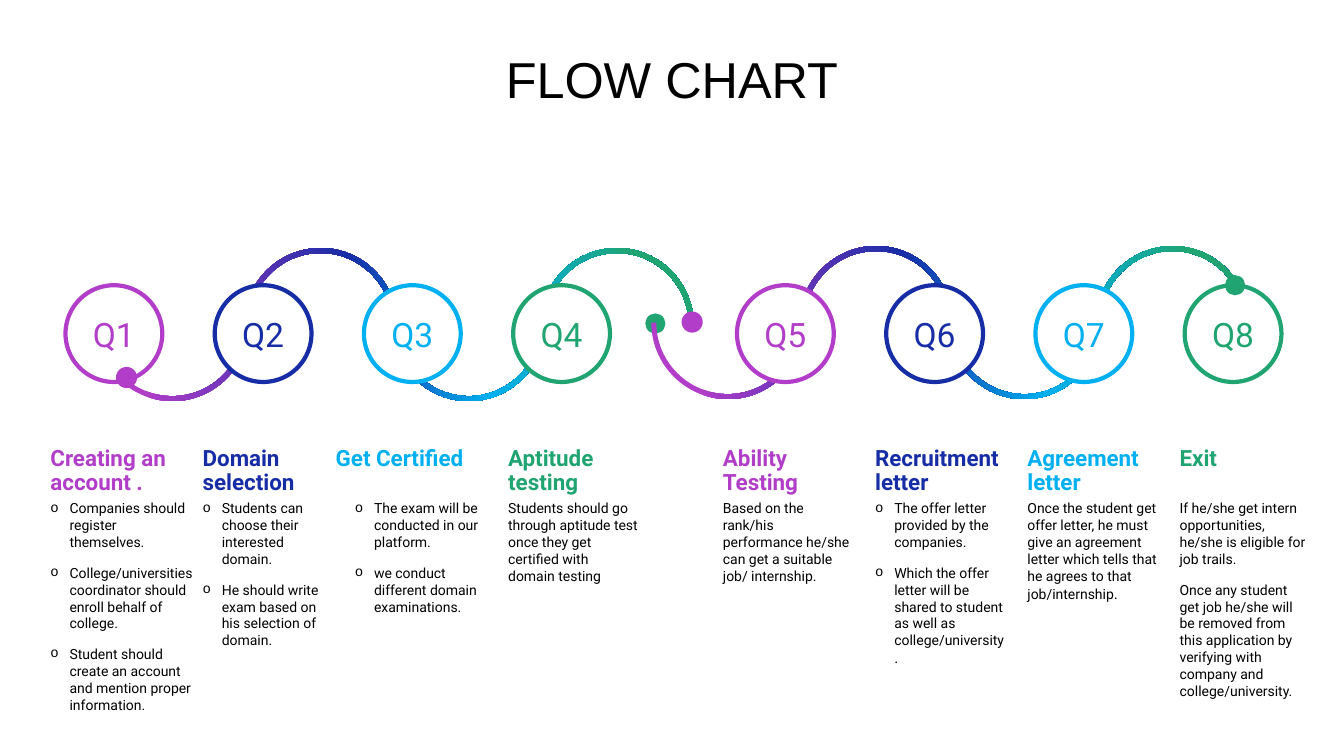
"""Build a flow chart slide of eight numbered steps joined by two wavy ribbons."""
from dataclasses import dataclass

from pptx import Presentation
from pptx.dml.color import RGBColor
from pptx.enum.shapes import MSO_SHAPE
from pptx.enum.text import MSO_ANCHOR, MSO_AUTO_SIZE, PP_ALIGN
from pptx.oxml import parse_xml
from pptx.oxml.ns import nsdecls, qn
from pptx.util import Inches, Pt

ELLIPSE = MSO_SHAPE.OVAL
TOP, MIDDLE = MSO_ANCHOR.TOP, MSO_ANCHOR.MIDDLE
LEFT, CENTER = PP_ALIGN.LEFT, PP_ALIGN.CENTER
NO_FIT = MSO_AUTO_SIZE.NONE
COMPARISON_LAYOUT = 4


@dataclass(frozen=True)
class Theme:
    """Colours, fonts and type sizes of the slide."""
    purple: str = "B13DC8"
    navy: str = "172DA6"
    sky: str = "00B0F0"
    green: str = "20A472"
    black: str = "000000"
    white: str = "FFFFFF"
    title_font: str = "Arial"
    text_font: str = "Roboto"
    bullet_font: str = "Courier New"
    title_size: int = 36
    label_size: int = 24
    heading_size: int = 16
    body_size: int = 10
    tail_size: int = 11
    space_before: int = 10


THEME = Theme()
STEP_COLOURS = (THEME.purple, THEME.navy, THEME.sky, THEME.green)
GRADIENT = tuple(zip((8, 42, 66, 90), STEP_COLOURS))

CIRCLE_TOP, CIRCLE_SIZE, CIRCLE_PITCH = 2.83, 0.96, 1.48
OUTER_RADIUS, INNER_RADIUS, ARC_HANDLE = 0.76, 0.71, 0.55
ARC_PITCH = OUTER_RADIUS + INNER_RADIUS
HEADING_TOP, BODY_TOP = 4.39, 4.91
HEADING_HEIGHT = 0.33

Point = tuple[float, float]


@dataclass(frozen=True)
class Dot:
    """A ribbon end point."""
    left: float
    top: float
    colour: str
    size: float = 0.2


@dataclass(frozen=True)
class Wave:
    """A ribbon with its four circles and end dots."""
    left: float
    top: float
    first_circle: float
    dots: tuple[Dot, ...]


@dataclass(frozen=True)
class Step:
    """The heading and description under a circle."""
    heading: str
    left: float
    paragraphs: tuple[str, ...]
    bulleted: bool = False
    tail: str = ""
    body_left: float | None = None
    heading_width: float = 1.29
    body_width: float = 1.29
    body_height: float = 1.29


WAVES = (
    Wave(0.95, 2.46, 0.65, (Dot(1.15, 3.64, THEME.purple, 0.21), Dot(6.4, 3.11, THEME.green))),
    Wave(6.46, 2.44, 7.31, (Dot(6.76, 3.09, THEME.purple, 0.21), Dot(12.15, 2.73, THEME.green))),
)

STEPS = (
    Step("Creating an account .", 0.5, (
        "Companies should register themselves.",
        "College/universities coordinator should enroll behalf of college.",
        "Student should create an account and mention proper information.",
    ), bulleted=True, body_width=1.41, body_height=2.51),
    Step("Domain selection", 2.01, (
        "Students can choose their interested domain.",
        "He should write exam based on his selection of domain.",
    ), bulleted=True, heading_width=1.32, body_height=2.28),
    Step("Get Certified", 3.33, (
        "The exam will be conducted in our platform.",
        "we conduct different domain examinations.",
    ), bulleted=True, body_left=3.52, heading_width=1.48),
    Step("Aptitude testing", 5.04, (
        "Students should go through aptitude test once they get certified with domain testing",
    )),
    Step("Ability Testing", 7.17, (
        "Based on the rank/his performance he/she can get a suitable job/ internship.",
    )),
    Step("Recruitment letter", 8.68, (
        "The offer letter provided by the companies.",
        "Which the offer letter will be shared to student as well as college/university",
    ), bulleted=True, tail=".", heading_width=1.42),
    Step("Agreement letter", 10.19, (
        "Once the student get offer letter, he must give an agreement letter "
        "which tells that he agrees to that job/internship",
    ), tail=".", body_height=1.59),
    Step("Exit", 11.7, (
        "If he/she get intern opportunities, he/she is eligible for job trails.",
        "Once any student get job he/she will be removed from this application "
        "by verifying with company and college/university.",
    ), body_height=2.28),
)


def style_span(span, size: int, colour: str, font: str = THEME.text_font, bold: bool = False) -> None:
    """Format one run."""
    span.font.name, span.font.size, span.font.bold = font, Pt(size), bold
    span.font.color.rgb = RGBColor.from_string(colour)


def place(box, left: float, top: float, width: float, height: float) -> None:
    """Move and size a box."""
    box.left, box.top, box.width, box.height = map(Inches, (left, top, width, height))


def prepare_frame(box) -> None:
    """Give a text box the margins and wrapping of a step column."""
    frame = box.text_frame
    frame.word_wrap, frame.auto_size, frame.vertical_anchor = True, NO_FIT, TOP
    frame.margin_left = frame.margin_right = 0
    frame.margin_top = frame.margin_bottom = Inches(0.05)


def add_bullet(para) -> None:
    """Hang a round bullet before a paragraph."""
    properties = para._p.get_or_add_pPr()
    properties.set("marL", str(Inches(0.19)))
    properties.set("indent", str(-Inches(0.19)))
    for tag, name, value in (("buFont", "typeface", THEME.bullet_font), ("buChar", "char", "o")):
        properties.append(parse_xml(f'<a:{tag} {nsdecls("a")} {name}="{value}"/>'))


def draw_ellipse(page, left: float, top: float, size: float, fill: str):
    """Draw a plain filled circle."""
    circle = page.shapes.add_shape(ELLIPSE, Inches(left), Inches(top), Inches(size), Inches(size))
    circle.shadow.inherit = False
    circle.fill.solid()
    circle.fill.fore_color.rgb = RGBColor.from_string(fill)
    circle.line.fill.background()
    return circle


def draw_label(page, left: float, label: str, colour: str) -> None:
    """Draw a numbered ring."""
    ring = draw_ellipse(page, left, CIRCLE_TOP, CIRCLE_SIZE, THEME.white)
    ring.line.color.rgb = RGBColor.from_string(colour)
    ring.line.width = Pt(3)
    frame = ring.text_frame
    frame.text, frame.word_wrap, frame.vertical_anchor = label, False, MIDDLE
    frame.paragraphs[0].alignment = CENTER
    style_span(frame.paragraphs[0].runs[0], THEME.label_size, colour)


def ribbon_edge(lower_radius: float, upper_radius: float) -> list[Point]:
    """Return the start and the Bezier points of one ribbon edge, measured from its corner."""
    middle = OUTER_RADIUS
    points = [(OUTER_RADIUS - lower_radius, middle)]
    for arc in range(4):
        reach, bend = (lower_radius, 1) if arc % 2 == 0 else (upper_radius, -1)
        center, handle = OUTER_RADIUS + arc * ARC_PITCH, ARC_HANDLE * reach
        crest = middle + bend * reach
        points += [(center - reach, middle + bend * handle), (center - handle, crest),
                   (center, crest), (center + handle, crest),
                   (center + reach, middle + bend * handle), (center + reach, middle)]
    return points


def path_command(tag: str, points: list[Point]) -> str:
    """Write one path command."""
    body = "".join(f'<a:pt x="{Inches(x)}" y="{Inches(y)}"/>' for x, y in points)
    return f'<a:{tag} {nsdecls("a")}>{body}</a:{tag}>'


def replace_children(parent, children: list[str]) -> None:
    """Swap an element's children for new ones."""
    for child in list(parent):
        parent.remove(child)
    for child in children:
        parent.append(parse_xml(child))


def draw_ribbon(page, wave: Wave) -> None:
    """Draw a ribbon of four half rings with the four-colour gradient."""
    width, height = 2 * OUTER_RADIUS + 3 * ARC_PITCH, 2 * OUTER_RADIUS
    right, bottom = Inches(wave.left + width), Inches(wave.top + height)
    builder = page.shapes.build_freeform(Inches(wave.left), Inches(wave.top), scale=1.0)
    builder.add_line_segments([(right, Inches(wave.top)), (right, bottom)], close=True)
    ribbon = builder.convert_to_shape()
    front = ribbon_edge(OUTER_RADIUS, INNER_RADIUS)
    back = ribbon_edge(INNER_RADIUS, OUTER_RADIUS)[::-1]
    commands = []
    for tag, edge in (("moveTo", front), ("lnTo", back)):
        commands.append(path_command(tag, edge[:1]))
        commands += [path_command("cubicBezTo", edge[i:i + 3]) for i in range(1, len(edge), 3)]
    commands.append(path_command("close", []))
    properties = ribbon._element.spPr
    replace_children(next(properties.iter(qn("a:path"))), commands)

    ribbon.shadow.inherit = False
    ribbon.line.fill.background()
    ribbon.fill.gradient()
    ribbon.fill.gradient_angle = 0
    replace_children(next(properties.iter(qn("a:gsLst"))), [
        f'<a:gs {nsdecls("a")} pos="{percent * 1000}"><a:srgbClr val="{colour}"/></a:gs>'
        for percent, colour in GRADIENT])


def draw_step(page, step: Step, colour: str, body) -> None:
    """Write a step's heading and description."""
    heading = page.shapes.add_textbox(Inches(step.left), Inches(HEADING_TOP),
                                      Inches(step.heading_width), Inches(HEADING_HEIGHT))
    prepare_frame(heading)
    heading.text_frame.text = step.heading
    para = heading.text_frame.paragraphs[0]
    para.line_spacing, para.space_before = 0.9, Pt(THEME.space_before)
    style_span(para.runs[0], THEME.heading_size, colour, bold=True)

    left = step.left if step.body_left is None else step.body_left
    place(body, left, BODY_TOP, step.body_width, step.body_height)
    prepare_frame(body)
    body.text_frame.text = "\n".join(step.paragraphs)
    for para in body.text_frame.paragraphs:
        para.alignment, para.space_before = LEFT, Pt(THEME.space_before)
        style_span(para.runs[0], THEME.body_size, THEME.black)
        if step.bulleted:
            add_bullet(para)
    if step.tail:
        span = body.text_frame.paragraphs[-1].add_run()
        span.text = step.tail
        style_span(span, THEME.tail_size, THEME.black)


def draw_title(title) -> None:
    """Write the slide title."""
    place(title, 0.25, 0.5, 12.83, 0.69)
    frame = title.text_frame
    frame.text, frame.auto_size, frame.vertical_anchor = "FLOW CHART", NO_FIT, TOP
    para = frame.paragraphs[0]
    para.alignment, para.line_spacing, para.space_before = CENTER, 0.9, Pt(THEME.space_before)
    style_span(para.runs[0], THEME.title_size, THEME.black, THEME.title_font)


def main() -> None:
    """Build and save the deck."""
    deck = Presentation()
    deck.slide_width, deck.slide_height = Inches(13.33), Inches(7.5)
    page = deck.slides.add_slide(deck.slide_layouts[COMPARISON_LAYOUT])
    list_boxes = iter([box for box in page.placeholders if box.placeholder_format.idx > 0])
    draw_title(page.shapes.title)
    for row, wave in enumerate(WAVES):
        draw_ribbon(page, wave)
        for column, colour in enumerate(STEP_COLOURS):
            left = wave.first_circle + column * CIRCLE_PITCH
            draw_label(page, left, f"Q{row * 4 + column + 1}", colour)
        for dot in wave.dots:
            draw_ellipse(page, dot.left, dot.top, dot.size, dot.colour)
    for step, colour in zip(STEPS, STEP_COLOURS * 2):
        body = next(list_boxes) if step.bulleted else page.shapes.add_textbox(0, 0, 0, 0)
        draw_step(page, step, colour, body)
    deck.save("out.pptx")


if __name__ == "__main__":
    main()
